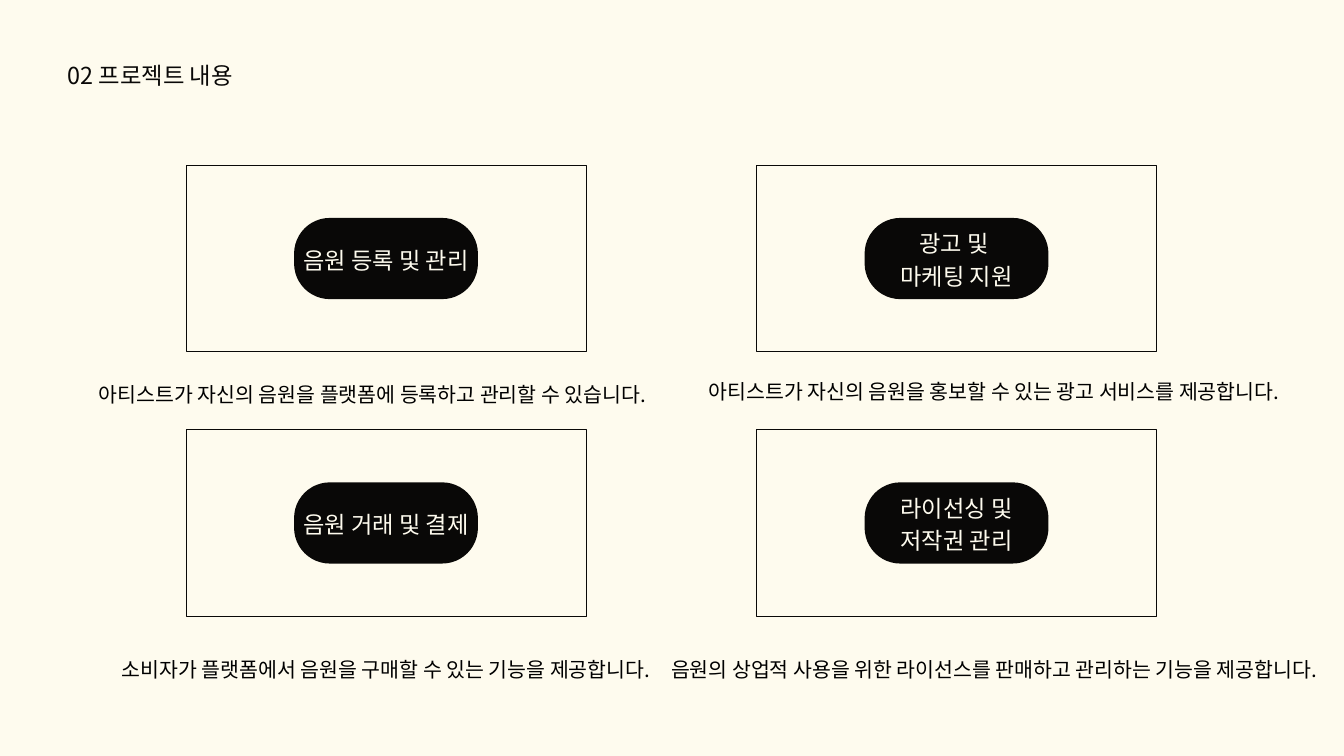
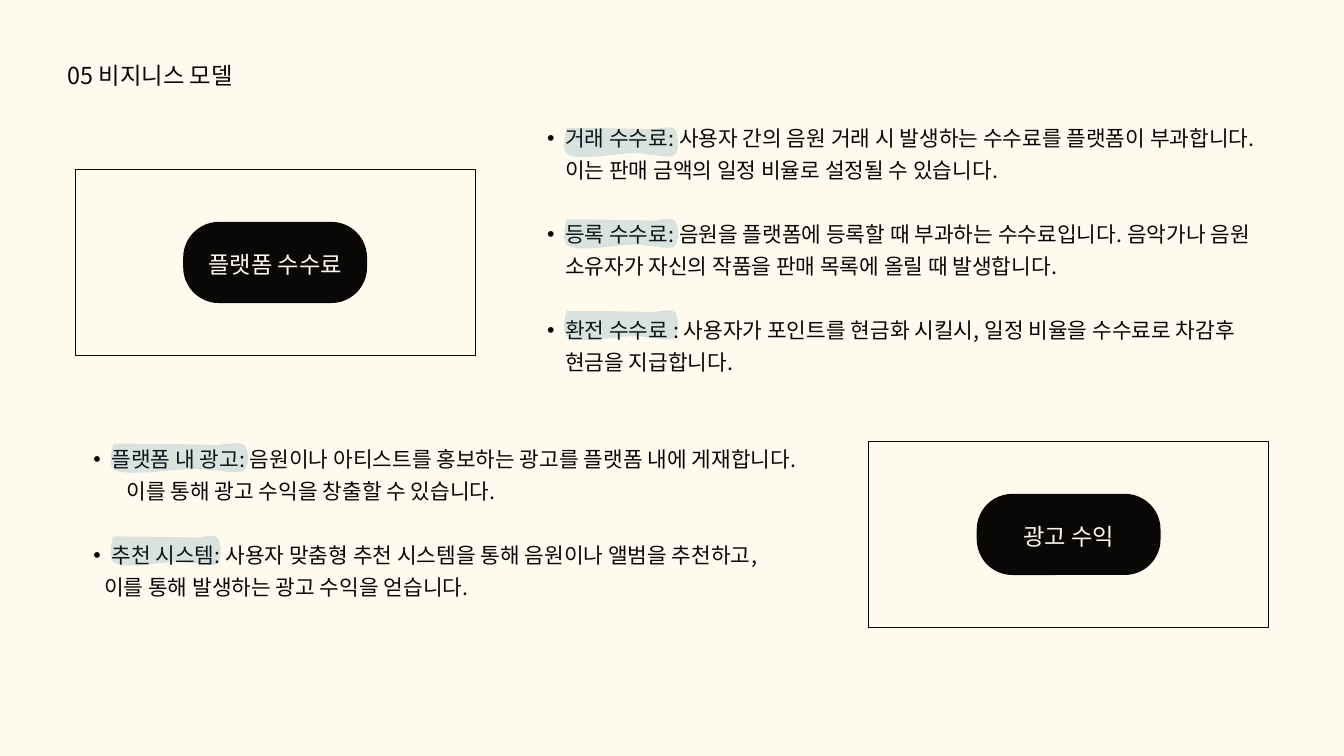
from lxml import etree
from pptx import Presentation
from pptx.dml.color import RGBColor
from pptx.enum import shapes, text
from pptx.oxml import ns
from pptx.util import Pt

CREAM = RGBColor(0xFE, 0xFB, 0xEE)
INK = RGBColor(0x09, 0x08, 0x07)
BLACK = RGBColor(0, 0, 0)
TEAL = RGBColor(0x26, 0x67, 0x8B)
FONT = "Noto Sans CJK SC"
FRAME_W, FRAME_H = 428.4, 200
PILL_W, PILL_H = 197, 87
LIST_LEADING = 34.3

BRUSH_START = (0, 3)
BRUSH_CURVES = [
    ((0.69, 3.6), (0.71, 4.3), (0.76, 4.3)),
    ((0.83, 5), (0.96, 0), (1, 4.3)),
    ((1.04, 9.4), (1.04, 27.4), (1, 31.7)),
    ((0.96, 36), (0.83, 31.7), (0.77, 31.7)),
    ((0.71, 31), (0.7, 30.2), (0.63, 30.2)),
    ((0.5, 29.5), (0.08, 39.6), (0, 30.2)),
    ((-0.05, 24.5), (0, 3), (0, 3)),
]

FEATURES = [
    ["음원 등록 및 관리"],
    ["광고 및 ", "마케팅 지원"],
    ["음원 거래 및 결제"],
    ["라이선싱 및", "저작권 관리"],
]
CAPTIONS = [
    (77.8, 404.6, 642.2, "아티스트가 자신의 음원을 플랫폼에 등록하고 관리할 수 있습니다."),
    (733, 401.8, 663.8, "아티스트가 자신의 음원을 홍보할 수 있는 광고 서비스를 제공합니다."),
    (94.3, 699.8, 638.6, "소비자가 플랫폼에서 음원을 구매할 수 있는 기능을 제공합니다."),
    (718.6, 699.8, 692.6, "음원의 상업적 사용을 위한 라이선스를 판매하고 관리하는 기능을 제공합니다."),
]
FEES = [
    ("거래 수수료: 사용자 간의 음원 거래 시 발생하는 수수료를 플랫폼이 부과합니다. "
     "이는 판매 금액의 일정 비율로 설정될 수 있습니다.", None),
    ("등록 수수료: 음원을 플랫폼에 등록할 때 부과하는 수수료입니다. "
     "음악가나 음원 소유자가 자신의 작품을 판매 목록에 올릴 때 발생합니다.", None),
    ("환전 수수료 : 사용자가 포인트를 현금화 시킬시, "
     "일정 비율을 수수료로 차감후 현금을 지급합니다.", None),
]
ADS = [
    ("플랫폼 내 광고: 음원이나 아티스트를 홍보하는 광고를 플랫폼 내에 게재합니다.", None),
    ("이를 통해 광고 수익을 창출할 수 있습니다.", 55),
    ("추천 시스템: 사용자 맞춤형 추천 시스템을 통해 음원이나 앨범을 추천하고,", None),
    ("이를 통해 발생하는 광고 수익을 얻습니다.", 31),
]
HIGHLIGHTS = [(607, 134, 116), (607, 232, 116), (607, 330, 116),
              (121.5, 472.3, 140), (121, 571.7, 112)]


def write(tf, lines, size=25, color=INK, leading=35, align=text.PP_ALIGN.LEFT,
          anchor=text.MSO_ANCHOR.TOP, wrap=True):
    tf.margin_left = tf.margin_right = tf.margin_top = tf.margin_bottom = 0
    tf.auto_size = text.MSO_AUTO_SIZE.NONE
    tf.word_wrap = wrap
    tf.vertical_anchor = anchor
    for i, line in enumerate(lines):
        p = tf.paragraphs[0] if i == 0 else tf.add_paragraph()
        p.alignment = align
        p.line_spacing = Pt(leading)
        p.space_before = p.space_after = Pt(0)
        r = p.add_run()
        r.text = line
        r.font.size = Pt(size)
        r.font.name = FONT
        r.font.color.rgb = color
        etree.SubElement(r.font._element, ns.qn("a:ea"), typeface=FONT)


def place(sp, x, y, w, h):
    sp.left, sp.top, sp.width, sp.height = Pt(x), Pt(y), Pt(w), Pt(h)


def add_slide(prs, layout, title):
    s = prs.slides.add_slide(prs.slide_layouts.get_by_name(layout))
    place(s.shapes.title, 72.7, 60.5, 209.5, 35.3)
    write(s.shapes.title.text_frame, [title])
    return s


def add_card(s, x, y, lines):
    frame = s.shapes.add_shape(shapes.MSO_SHAPE.RECTANGLE,
                               Pt(x), Pt(y), Pt(FRAME_W), Pt(FRAME_H))
    frame.shadow.inherit = False
    frame.fill.background()
    frame.line.color.rgb = INK
    frame.line.width = Pt(0.75)
    pill = s.shapes.add_shape(shapes.MSO_SHAPE.ROUNDED_RECTANGLE,
                              Pt(x + (FRAME_W - PILL_W) / 2), Pt(y + (FRAME_H - PILL_H) / 2),
                              Pt(PILL_W), Pt(PILL_H))
    pill.adjustments[0] = 0.44
    pill.shadow.inherit = False
    pill.fill.solid()
    pill.fill.fore_color.rgb = INK
    pill.line.fill.background()
    write(pill.text_frame, lines, size=24.9, color=CREAM, leading=34.9,
          align=text.PP_ALIGN.CENTER, anchor=text.MSO_ANCHOR.MIDDLE, wrap=False)
    pill.text_frame.margin_bottom = Pt(2)


def add_caption(s, x, y, w, line):
    sp = s.shapes.add_textbox(Pt(x), Pt(y), Pt(w), Pt(31))
    write(sp.text_frame, [line], size=22, color=BLACK, leading=30.8,
          align=text.PP_ALIGN.CENTER)


def fill_list(sp, x, y, w, h, items):
    place(sp, x, y, w, h)
    write(sp.text_frame, [line for line, _ in items], size=22.9, leading=LIST_LEADING)
    for i, (p, (_, indent)) in enumerate(zip(sp.text_frame.paragraphs, items)):
        pPr = p._p.get_or_add_pPr()
        bulleted = indent is None
        pPr.set("marL", str(Pt(38.9 if bulleted else indent)))
        pPr.set("indent", str(Pt(-19.4 if bulleted else 0)))
        if bulleted:
            etree.SubElement(pPr, ns.qn("a:buChar"), char="•")
            p.space_before = Pt(LIST_LEADING if i else 0)
        else:
            etree.SubElement(pPr, ns.qn("a:buNone"))


def curve_segments(sp):
    outline = sp._element.find(".//" + ns.qn("a:path"))
    lines = outline.findall(ns.qn("a:lnTo"))
    for i in range(0, len(lines), 3):
        curve = etree.Element(ns.qn("a:cubicBezTo"))
        lines[i].addprevious(curve)
        for line in lines[i:i + 3]:
            curve.append(line[0])
            outline.remove(line)


def add_highlight(s, x, y, w):
    def at(point):
        return Pt(x + point[0] * w), Pt(y + point[1])

    fb = s.shapes.build_freeform(*at(BRUSH_START))
    fb.add_line_segments([at(pt) for curve in BRUSH_CURVES for pt in curve], close=False)
    sp = fb.convert_to_shape()
    curve_segments(sp)
    sp.shadow.inherit = False
    sp.line.fill.background()
    sp.fill.solid()
    sp.fill.fore_color.rgb = TEAL
    color = sp._element.spPr.find(ns.qn("a:solidFill"))[0]
    etree.SubElement(color, ns.qn("a:alpha"), val="17000")


def add_project_slide(prs):
    s = add_slide(prs, "Title Only", "02 프로젝트 내용")
    for i, lines in enumerate(FEATURES):
        row, col = divmod(i, 2)
        add_card(s, 199.4 + 611.3 * col, 177 + 283.3 * row, lines)
    for caption in CAPTIONS:
        add_caption(s, *caption)


def add_business_slide(prs):
    s = add_slide(prs, "Two Content", "05 비지니스 모델")
    fill_list(s.placeholders[1], 566.6, 127.4, 792, 305, FEES)
    fill_list(s.placeholders[2], 80.6, 471.6, 790, 203, ADS)
    add_card(s, 80.6, 181.2, ["플랫폼 수수료"])
    add_card(s, 930.8, 472.6, ["광고 수익"])
    for highlight in HIGHLIGHTS:
        add_highlight(s, *highlight)


def main():
    prs = Presentation()
    prs.slide_width, prs.slide_height = Pt(1440), Pt(810)
    fill = prs.slide_master.background.fill
    fill.solid()
    fill.fore_color.rgb = CREAM
    add_project_slide(prs)
    add_business_slide(prs)
    prs.save("out.pptx")


if __name__ == "__main__":
    main()
